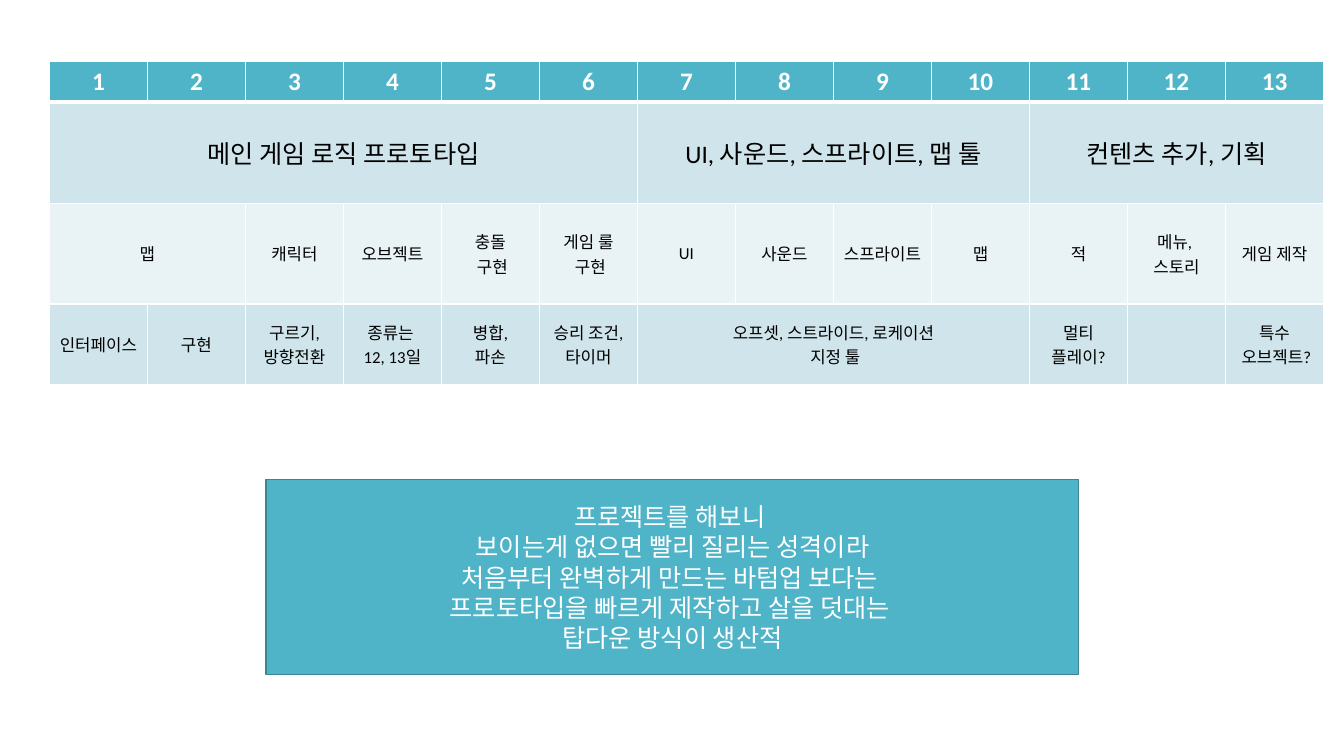
"""Builds a slide with a 13-day game plan table and a note on the method."""
from lxml.etree import fromstring
from pptx import Presentation
from pptx.dml.color import RGBColor
from pptx.enum.shapes import MSO_SHAPE as Shape
from pptx.enum.text import MSO_ANCHOR as Anchor, PP_ALIGN as Align
from pptx.oxml.ns import nsdecls
from pptx.util import Inches, Pt

TEAL, PALE, MIST = "50B4C8", "D0E5EB", "E9F2F5"
WHITE, BLACK, EDGE = "FFFFFF", "000000", "3B8594"


def paint(fill, color):
    fill.solid()
    fill.fore_color.rgb = RGBColor.from_string(color)


def write(frame, text, size, color, bold=False):
    frame.text = text
    for line in frame.paragraphs:
        line.alignment = Align.CENTER
        line.font.name = "Calibri"
        line.font.size = Pt(size)
        line.font.bold = bold
        paint(line.font.fill, color)


days = 13
plan = [
    (0.4, TEAL, 18, WHITE, [(str(day + 1), 1) for day in range(days)]),
    (1, PALE, 18, BLACK, [
        ("메인 게임 로직 프로토타입", 6),
        ("UI, 사운드, 스프라이트, 맵 툴", 4),
        ("컨텐츠 추가, 기획", 3)]),
    (1, MIST, 12, BLACK, [
        ("맵", 2), ("캐릭터", 1), ("오브젝트", 1), ("충돌\n 구현", 1),
        ("게임 룰\n 구현", 1), ("UI", 1), ("사운드", 1), ("스프라이트", 1),
        ("맵", 1), ("적", 1), ("메뉴, \n스토리", 1), ("게임 제작", 1)]),
    (0.8, PALE, 12, BLACK, [
        ("인터페이스", 1), ("구현", 1), ("구르기,\n방향전환", 1),
        ("종류는 \n12, 13일", 1), ("병합,\n파손", 1), ("승리 조건, 타이머", 1),
        ("오프셋, 스트라이드, 로케이션\n 지정 툴", 4),
        ("멀티\n플레이?", 1), ("", 1), ("특수\n 오브젝트?", 1)]),
]
note = "\n".join([
    "프로젝트를 해보니 ",
    "보이는게 없으면 빨리 질리는 성격이라",
    "처음부터 완벽하게 만드는 바텀업 보다는 ",
    "프로토타입을 빠르게 제작하고 살을 덧대는 ",
    "탑다운 방식이 생산적",
])

deck = Presentation()
deck.slide_width, deck.slide_height = Inches(13.33), Inches(7.5)
slide = deck.slides.add_slide(deck.slide_layouts[6])

table = slide.shapes.add_table(
    len(plan), days, Inches(0.49), Inches(0.61),
    Inches(12.64), Inches(3.2)).table
for row, (height, back, size, ink, tasks) in enumerate(plan):
    table.rows[row].height = Inches(height)
    col = 0
    for text, span in tasks:
        cell = table.cell(row, col)
        if span > 1:
            cell.merge(table.cell(row, col + span - 1))
        cell.vertical_anchor = Anchor.MIDDLE
        write(cell.text_frame, text, size, ink, row == 0)
        col += span
    for col in range(days):
        cell = table.cell(row, col)
        paint(cell.fill, back)
        props = cell._tc.get_or_add_tcPr()
        for spot, side in enumerate("LRTB"):
            width = Pt(3 if (row, side) in [(0, "B"), (1, "T")] else 1)
            props.insert(spot, fromstring(
                f'<a:ln{side} {nsdecls("a")} w="{width}"><a:solidFill>'
                f'<a:srgbClr val="{WHITE}"/></a:solidFill></a:ln{side}>'))

box = slide.shapes.add_shape(
    Shape.RECTANGLE, Inches(2.64), Inches(4.76), Inches(8.06), Inches(1.93))
box.shadow.inherit = False
paint(box.fill, TEAL)
paint(box.line.fill, EDGE)
box.line.width = Pt(1)
box.text_frame.vertical_anchor = Anchor.MIDDLE
write(box.text_frame, note, 18, WHITE)

deck.save("out.pptx")
